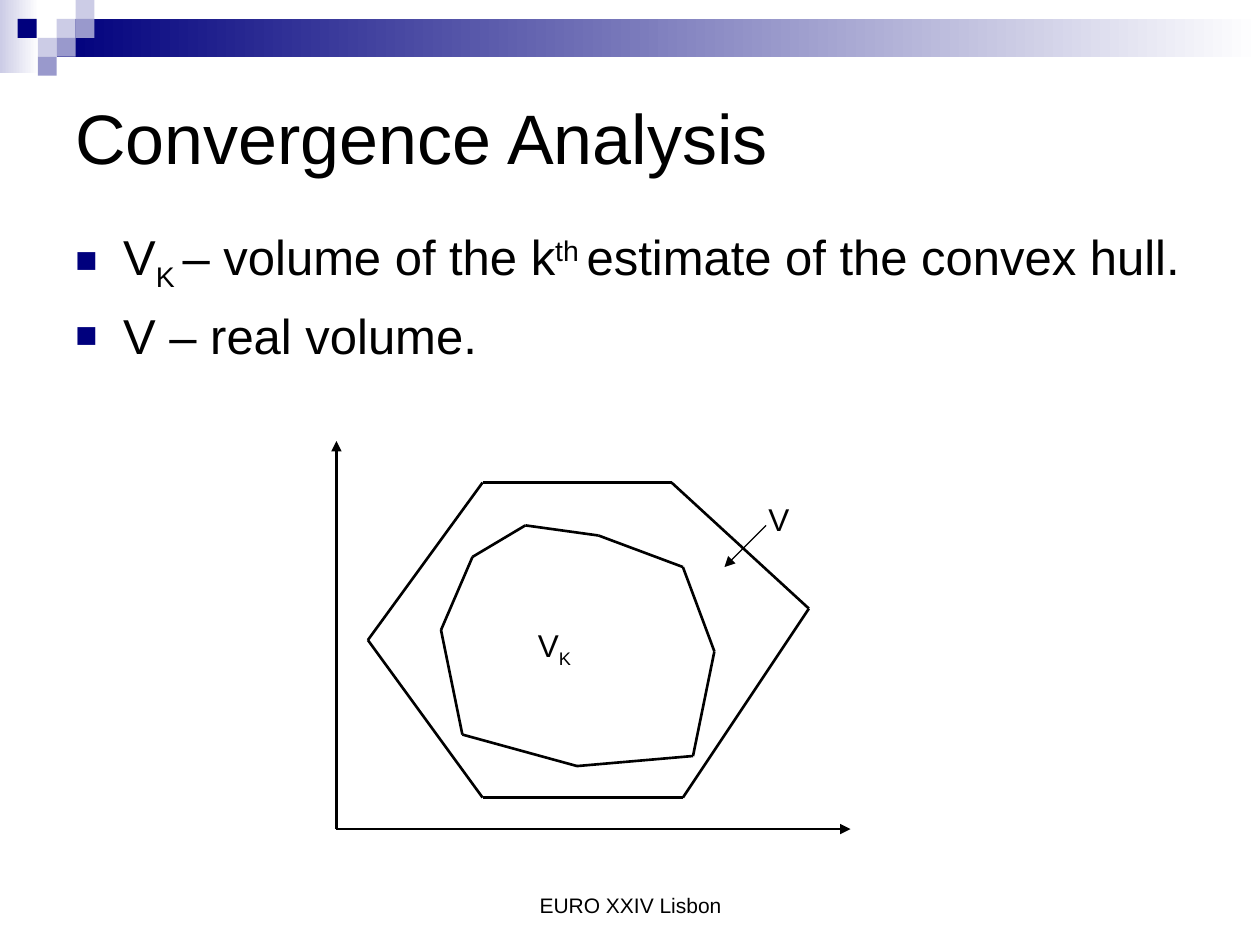
from lxml.etree import SubElement
from pptx import Presentation
from pptx.dml.color import RGBColor
from pptx.enum.shapes import MSO_CONNECTOR, MSO_SHAPE
from pptx.enum.text import MSO_ANCHOR, PP_ALIGN
from pptx.oxml.ns import qn
from pptx.util import Inches, Pt

BLACK, NAVY, LAVENDER, PERIWINKLE, WHITE = "000000", "00007D", "CCCCE6", "9999CC", "FFFFFF"
SQUARE = 0.15
SQUARES = [
    (0.45, 0.15, LAVENDER), (0.6, 0, LAVENDER), (0.6, 0.15, PERIWINKLE),
    (0.3, 0.3, LAVENDER), (0.14, 0.15, NAVY), (0.45, 0.3, PERIWINKLE),
    (0.3, 0.45, PERIWINKLE),
]
ORIGIN = (2.67, 6.58)
AXIS_ENDS = [(2.67, 3.5), (6.75, 6.58)]
ESTIMATE = [
    (3.5, 5), (3.75, 4.42), (4.17, 4.17), (4.75, 4.25), (5.42, 4.5),
    (5.67, 5.17), (5.5, 6), (4.58, 6.08), (3.67, 5.83),
]
HULL = [(2.92, 5.08), (3.83, 3.83), (5.33, 3.83), (6.42, 4.83), (5.42, 6.33), (3.83, 6.33)]
SUBSCRIPT, SUPERSCRIPT = -25000, 30000
BULLETS = [
    [("V", 0), ("K ", SUBSCRIPT), ("– volume of the k", 0), ("th ", SUPERSCRIPT),
     ("estimate of the convex hull.", 0)],
    [("V – real volume.", 0)],
]


def color(value):
    return RGBColor.from_string(value)


def set_attributes(target, values):
    for name, value in values.items():
        setattr(target, name, value)


def add_rectangle(slide, box, *colors):
    """Draw a borderless rectangle; two colours make a left-to-right gradient."""
    shape = slide.shapes.add_shape(MSO_SHAPE.RECTANGLE, *map(Inches, box))
    shape.shadow.inherit = False
    shape.line.fill.background()
    if len(colors) == 1:
        shape.fill.solid()
        shape.fill.fore_color.rgb = color(colors[0])
        return
    shape.fill.gradient()
    shape.fill.gradient_angle = 0
    for stop, value, position in zip(shape.fill.gradient_stops, colors, (0, 1)):
        stop.color.rgb = color(value)
        stop.position = position


def add_line(slide, start, end, width=1.5, arrow=False):
    line = slide.shapes.add_connector(MSO_CONNECTOR.STRAIGHT, *map(Inches, start + end))
    line.line.width = Pt(width)
    line.line.color.rgb = color(BLACK)
    properties = line._element.spPr
    if arrow:
        SubElement(properties.find(qn("a:ln")), qn("a:tailEnd"), type="triangle")
    SubElement(properties, qn("a:effectLst"))


def add_polygon(slide, points):
    for start, end in zip(points, points[1:] + points[:1]):
        add_line(slide, start, end)


def add_bullet(paragraph):
    properties = paragraph._p.get_or_add_pPr()
    properties.set("marL", str(Inches(0.38)))
    properties.set("indent", str(-Inches(0.38)))
    bullet_color = SubElement(properties, qn("a:buClr"))
    SubElement(bullet_color, qn("a:srgbClr"), val=NAVY)
    SubElement(properties, qn("a:buSzPct"), val="75000")
    SubElement(properties, qn("a:buFont"), typeface="Arial")
    SubElement(properties, qn("a:buChar"), char="■")


def add_text(slide, box, lines, size, anchor=MSO_ANCHOR.TOP, bullets=False, **paragraph_format):
    """Write one paragraph per line; a line is a list of (text, baseline) runs."""
    frame = slide.shapes.add_textbox(*map(Inches, box)).text_frame
    set_attributes(frame, {"word_wrap": True, "vertical_anchor": anchor})
    for index, line in enumerate(lines):
        paragraph = frame.add_paragraph() if index else frame.paragraphs[0]
        set_attributes(paragraph, paragraph_format)
        if bullets:
            add_bullet(paragraph)
        for text, baseline in line:
            run = paragraph.add_run()
            run.text = text
            set_attributes(run.font, {"name": "Arial", "size": Pt(size)})
            run.font.color.rgb = color(BLACK)
            if baseline:
                run.font._element.set("baseline", str(baseline))


def add_banner(slide):
    add_rectangle(slide, (0, 0, 0.31, 0.58), LAVENDER, WHITE)
    add_rectangle(slide, (0.45, 0.15, 9.55, 0.3), NAVY, WHITE)
    for left, top, fill in SQUARES:
        add_rectangle(slide, (left, top, SQUARE, SQUARE), fill)


def add_diagram(slide):
    for end in AXIS_ENDS:
        add_line(slide, ORIGIN, end, arrow=True)
    add_polygon(slide, ESTIMATE)
    add_polygon(slide, HULL)
    add_text(slide, (4.17, 4.92, 1, 0.44), [[("V", 0), ("K", SUBSCRIPT)]], 18,
             space_before=Pt(11.2))
    add_text(slide, (6, 3.92, 1.08, 0.4), [[("V", 0)]], 18, space_before=Pt(11.2))
    add_line(slide, (6.08, 4.17), (5.75, 4.5), width=0.75, arrow=True)


def main():
    presentation = Presentation()
    set_attributes(presentation, {"slide_width": Inches(10), "slide_height": Inches(7.5)})
    slide = presentation.slides.add_slide(presentation.slide_layouts[6])
    add_banner(slide)
    add_text(slide, (3.42, 6.83, 3.17, 0.5), [[("EURO XXIV Lisbon", 0)]], 12,
             MSO_ANCHOR.BOTTOM, alignment=PP_ALIGN.CENTER)
    add_text(slide, (0.5, 0.5, 9, 1.17), [[("Convergence Analysis", 0)]], 40, MSO_ANCHOR.MIDDLE)
    add_text(slide, (0.5, 1.75, 9, 5.08), BULLETS, 28, bullets=True, space_before=Pt(7))
    add_diagram(slide)
    presentation.save("out.pptx")


if __name__ == "__main__":
    main()
